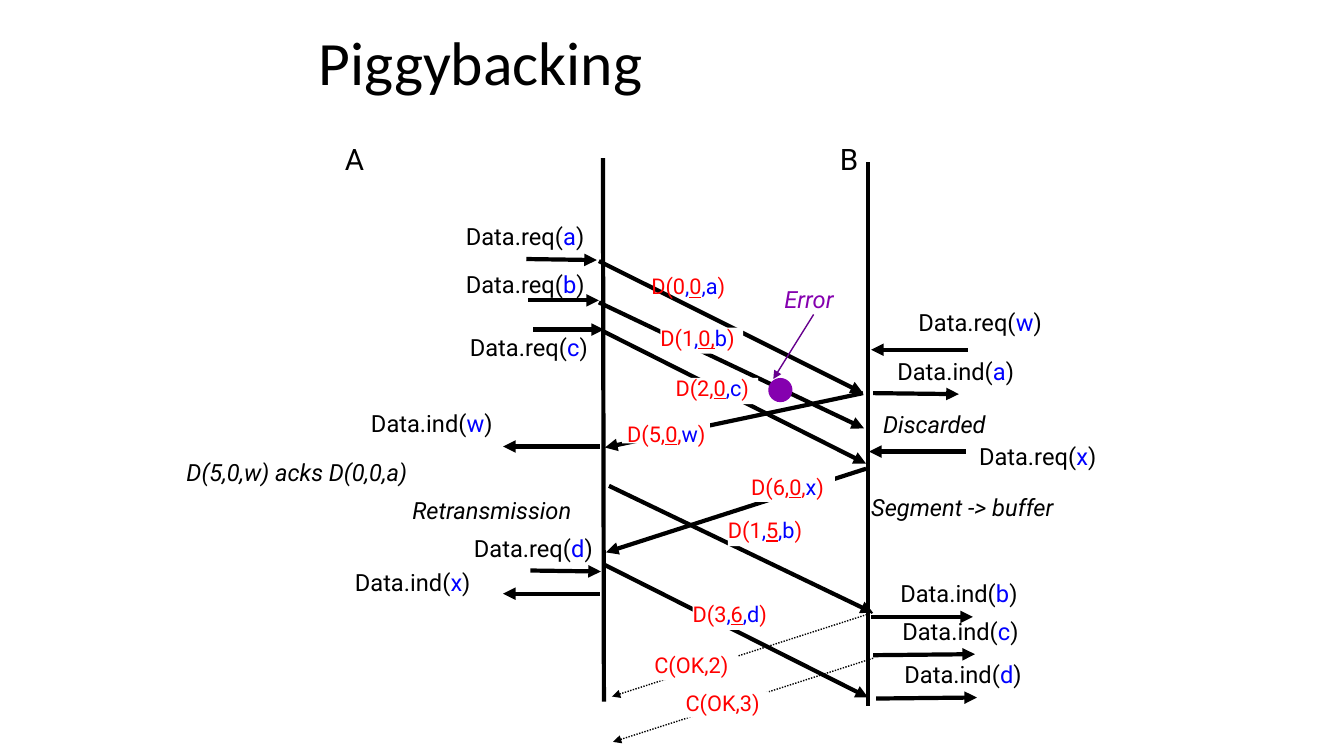
from lxml.etree import SubElement
from pptx import Presentation
from pptx.dml.color import RGBColor
from pptx.enum.dml import MSO_LINE
from pptx.enum.shapes import MSO_CONNECTOR, MSO_SHAPE
from pptx.enum.text import MSO_ANCHOR, MSO_AUTO_SIZE, PP_ALIGN
from pptx.oxml.ns import qn
from pptx.util import Emu, Pt

PX = 9144
BLACK, RED, BLUE, WHITE, PURPLE = "000000", "FF0000", "0000FF", "FFFFFF", "8500AF"
R, U, B = (RED, False), (RED, True), (BLUE, False)
TITLE_BOX = (306, 0, 797, 132)
SIDE_A_BOX = (185, 157, 413, 543)
CHANNEL_BOX = (598, 157, 263, 543)
SIDE_B_BOX = (861, 157, 228, 543)

PRIMITIVES_A = [
    ("req", "a", (277, 67, 119), (337, 100, 407, 101)),
    ("req", "b", (277, 115, 119), (339, 141, 409, 141)),
    ("req", "c", (281, 178, 118), (344, 170, 414, 170)),
    ("ind", "w", (183, 253, 124), (410, 286, 314, 286)),
    ("req", "d", (285, 377, 119), (341, 409, 411, 410)),
    ("ind", "x", (167, 411, 117), (410, 432, 314, 432)),
]
NOTES_A = [("D(5,0,w) acks D(0,0,a)", (0, 298, 236)), ("Retransmission", (224, 336, 163))]
PRIMITIVES_B = [
    ("req", "w", (50, 153, 126), (99, 190, 3, 190)),
    ("ind", "a", (29, 201, 117), (5, 233, 90, 234)),
    ("req", "x", (110, 286, 118), (97, 291, 1, 291)),
    ("ind", "b", (32, 422, 117), (3, 455, 104, 455)),
    ("ind", "c", (34, 459, 117), (5, 493, 106, 492)),
    ("ind", "d", (36, 502, 117), (8, 536, 108, 535)),
]
NOTES_B = [("Discarded", (15, 251, 106)), ("Segment -> buffer", (3, 333, 189))]
MESSAGES = [
    ((-4, 102, 258, 233), None, (48, 118, 78),
     [("D(0", R), (",", B), ("0", U), (",a", B), (")", R)]),
    ((-4, 143, 259, 268), (57, 168, 82), (57, 169, 78),
     [("D(1", R), (",", B), ("0,", U), ("b", B), (")", R)]),
    ((-1, 171, 261, 303), (72, 218, 82), (72, 219, 78),
     [("D(2,", R), ("0", U), (",c", B), (")", R)]),
    ((6, 325, 268, 451), (124, 359, 82), (124, 360, 78),
     [("D(1", R), (",", B), ("5", U), (",b", B), (")", R)]),
    ((1, 403, 263, 535), (89, 442, 83), (89, 443, 78),
     [("D(3", R), (",", B), ("6", U), (",d", B), (")", R)]),
    ((267, 451, 9, 534), (51, 492, 83), (51, 494, 79), [("C(OK,2)", R)]),
    ((268, 496, 10, 579), (82, 529, 83), (82, 531, 79), [("C(OK,3)", R)]),
    ((258, 233, 2, 287), (19, 257, 87), (24, 264, 82),
     [("D(5,", R), ("0", U), (",", R), ("w", B), (")", R)]),
    ((261, 308, 3, 391), (147, 315, 83), (147, 317, 78),
     [("D(6,", R), ("0", U), (",", R), ("x", B), (")", R)]),
]


def px(n):
    """Turn px into EMU."""
    return Emu(n * PX)


def rgb(value):
    """Turn a hex string into a colour."""
    return RGBColor.from_string(value)


def add_run(p, text, size, color, font="Roboto", italic=False, underline=False):
    """Add one formatted run."""
    r = p.add_run()
    r.text = text
    r.font.name, r.font.size = font, Pt(size)
    r.font.italic, r.font.underline = italic, underline
    r.font.color.rgb = rgb(color)


def add_text(slide, box, at, runs, size=16.9, spacing=0.84, italic=False):
    """Add a tight text box at a place within the box."""
    x, y, w, h = at
    sp = slide.shapes.add_textbox(px(box[0] + x), px(box[1] + y), px(w), px(h))
    tf = sp.text_frame
    tf.margin_left = tf.margin_right = tf.margin_top = tf.margin_bottom = 0
    tf.word_wrap, tf.vertical_anchor = False, MSO_ANCHOR.MIDDLE
    tf.auto_size = MSO_AUTO_SIZE.SHAPE_TO_FIT_TEXT
    p = tf.paragraphs[0]
    p.line_spacing = spacing
    for text, (color, underline) in runs:
        add_run(p, text, size, color, italic=italic, underline=underline)


def add_line(slide, box, ends, color=BLACK, width=3, arrow=True, dotted=False):
    """Add a straight line or arrow within the box."""
    left, top = box[:2]
    x1, y1, x2, y2 = ends
    sp = slide.shapes.add_connector(
        MSO_CONNECTOR.STRAIGHT, px(left + x1), px(top + y1), px(left + x2), px(top + y2))
    sp.line.color.rgb, sp.line.width = rgb(color), Pt(width)
    if dotted:
        sp.line.dash_style = MSO_LINE.ROUND_DOT
    if arrow:
        SubElement(sp.line._get_or_add_ln(), qn("a:tailEnd"), type="triangle")
    SubElement(sp._element.spPr, qn("a:effectLst"))


def add_filled(slide, box, kind, at, color):
    """Add a plain filled shape within the box."""
    x, y, w, h = at
    sp = slide.shapes.add_shape(kind, px(box[0] + x), px(box[1] + y), px(w), px(h))
    sp.fill.solid()
    sp.fill.fore_color.rgb = rgb(color)
    sp.line.fill.background()
    sp.shadow.inherit = False


def add_title(slide, box, text):
    """Place and format the title."""
    sp = slide.shapes.title
    sp.left, sp.top, sp.width, sp.height = map(px, box)
    tf = sp.text_frame
    tf.vertical_anchor, tf.auto_size = MSO_ANCHOR.MIDDLE, MSO_AUTO_SIZE.NONE
    p = tf.paragraphs[0]
    p.alignment, p.line_spacing = PP_ALIGN.LEFT, 0.84
    add_run(p, text, 44, BLACK, font="Calibri")


def add_side(slide, box, name, name_x, primitives, notes):
    """Draw one host: its name, service primitives and remarks."""
    black = (BLACK, False)
    add_text(slide, box, (name_x, -12, 20, 31), [(name, black)], size=21.1)
    for kind, data, at, ends in primitives:
        add_line(slide, box, ends)
        add_text(slide, box, (*at, 24), [(f"Data.{kind}(", black), (data, B), (")", black)])
    for note, at in notes:
        add_text(slide, box, (*at, 28), [(note, black)], spacing=0.97, italic=True)


def add_channel(slide, box):
    """Draw both time lines, the segments between them and the error."""
    add_line(slide, box, (0, 0, 1, 539), arrow=False)
    add_line(slide, box, (263, 4, 263, 543), arrow=False)
    for ends, mask, at, runs in MESSAGES:
        ack = runs[0][0].startswith("C")
        add_line(slide, box, ends, width=1 if ack else 3, dotted=ack)
        if mask:
            add_filled(slide, box, MSO_SHAPE.RECTANGLE, (*mask, 26), WHITE)
        add_text(slide, box, (*at, 22), runs, size=15.5)
    add_line(slide, box, (209, 155, 169, 219), color="66008D", width=1)
    add_filled(slide, box, MSO_SHAPE.OVAL, (164, 218, 24, 24), PURPLE)
    add_text(slide, box, (180, 127, 53, 27), [("Error", (PURPLE, False))],
             spacing=0.97, italic=True)


def main():
    """Build and save the slide."""
    prs = Presentation()
    prs.slide_width, prs.slide_height = px(1333), px(750)
    slide = prs.slides.add_slide(prs.slide_layouts[5])
    add_title(slide, TITLE_BOX, "Piggybacking")
    add_channel(slide, CHANNEL_BOX)
    add_side(slide, SIDE_A_BOX, "A", 157, PRIMITIVES_A, NOTES_A)
    add_side(slide, SIDE_B_BOX, "B", -28, PRIMITIVES_B, NOTES_B)
    prs.save("out.pptx")


if __name__ == "__main__":
    main()
